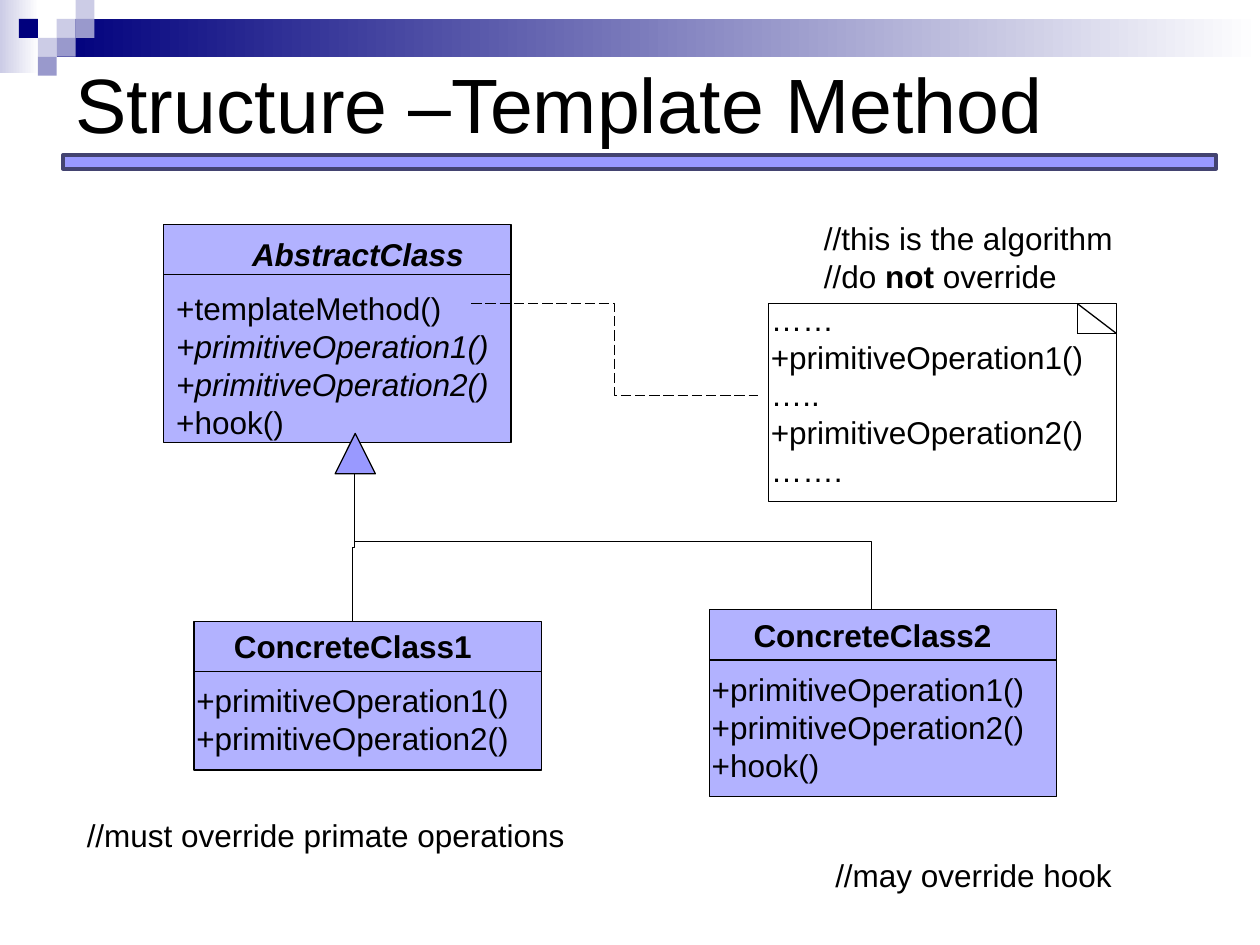
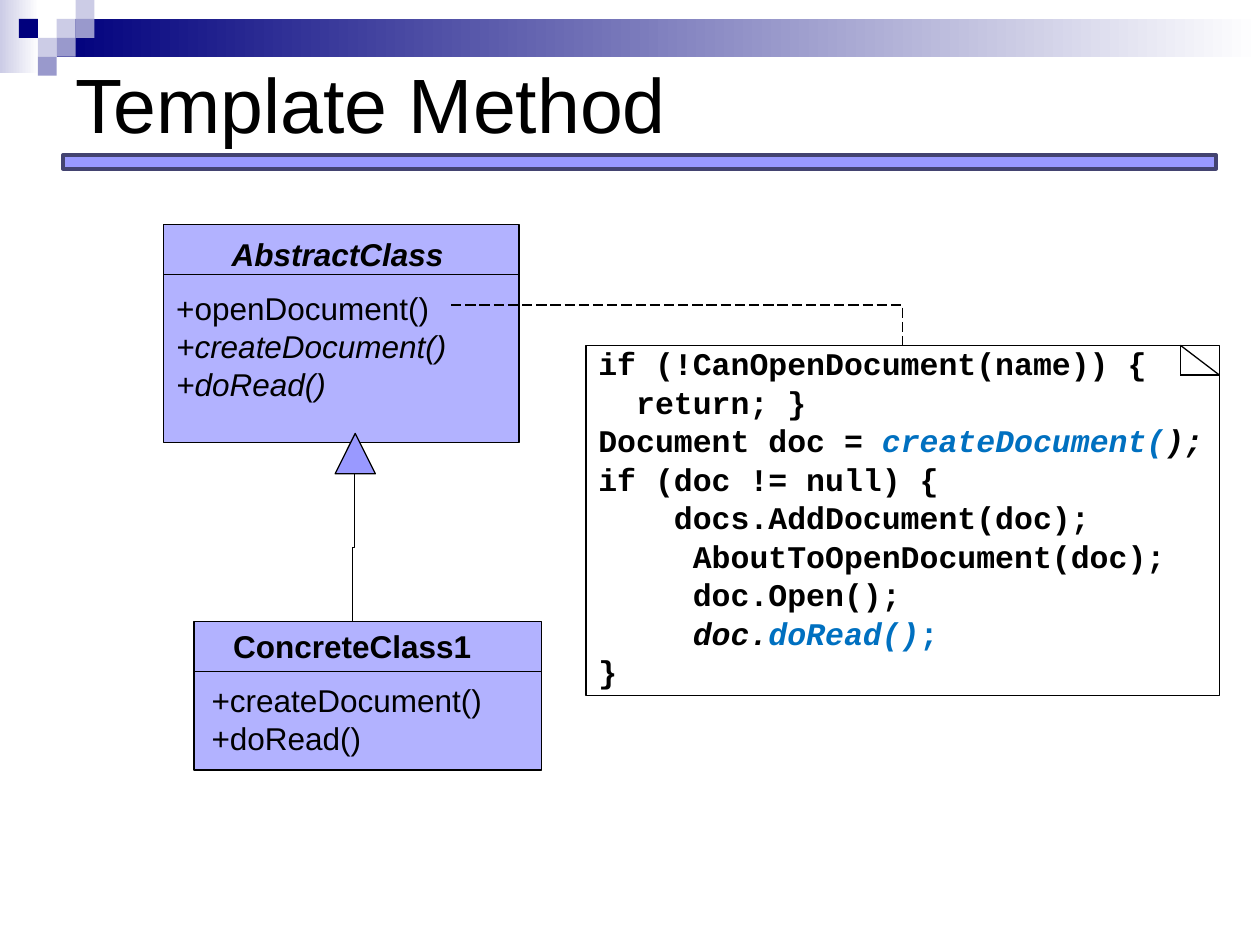
import pptx
import pptx.dml.color
import pptx.enum.dml
import pptx.enum.shapes
import pptx.enum.text
import pptx.oxml.ns
import pptx.util
from lxml import etree

Pt = pptx.util.Pt
RGBColor = pptx.dml.color.RGBColor
SHAPE = pptx.enum.shapes.MSO_SHAPE
LINK = pptx.enum.shapes.MSO_CONNECTOR
ALIGN = pptx.enum.text.PP_ALIGN
qn = pptx.oxml.ns.qn

BLACK = RGBColor(0x00, 0x00, 0x00)
WHITE = RGBColor(0xFF, 0xFF, 0xFF)
NAVY = RGBColor(0x00, 0x00, 0x7D)
PALE = RGBColor(0xCC, 0xCC, 0xE6)
MID = RGBColor(0x99, 0x99, 0xCC)
VIOLET = RGBColor(0x99, 0x99, 0xFF)
VIOLET_EDGE = RGBColor(0x43, 0x43, 0x70)
CLASS_FILL = RGBColor(0xB2, 0xB2, 0xFF)
CODE_BLUE = RGBColor(0x00, 0x70, 0xC0)

CELL = 10.8
MOSAIC = [(3, 1, PALE), (4, 0, PALE), (4, 1, MID), (2, 2, PALE),
          (1, 1, NAVY), (3, 2, MID), (2, 3, MID)]
HAIRLINE = 0.75
FOLD_W, FOLD_H = 22.3, 17
CODE_CHAR = 10.8


def add_shape(slide, x, y, w, h, fill=None, line=None, width=HAIRLINE,
              kind=SHAPE.RECTANGLE):
    sp = slide.shapes.add_shape(kind, Pt(x), Pt(y), Pt(w), Pt(h))
    sp.shadow.inherit = False
    if fill is None:
        sp.fill.background()
    else:
        sp.fill.solid()
        sp.fill.fore_color.rgb = fill
    if line is None:
        sp.line.fill.background()
    else:
        sp.line.color.rgb = line
        sp.line.width = Pt(width)
    return sp


def add_fade(slide, x, y, w, h, color):
    sp = add_shape(slide, x, y, w, h)
    sp.fill.gradient()
    sp.fill.gradient_angle = 0
    for stop, rgb in zip(sp.fill.gradient_stops, (color, WHITE)):
        stop.color.rgb = rgb


def write(tf, paragraphs, size=18, font="Arial"):
    """Each paragraph is a string or a list of (text, style); b bold, i italic, c code blue."""
    for i, runs in enumerate(paragraphs):
        p = tf.paragraphs[0] if i == 0 else tf.add_paragraph()
        p.alignment = ALIGN.LEFT
        for text, style in [(runs, "")] if isinstance(runs, str) else runs:
            r = p.add_run()
            r.text = text
            r.font.size = Pt(size)
            r.font.name = font
            r.font.bold = "b" in style
            r.font.italic = "i" in style
            r.font.color.rgb = CODE_BLUE if "c" in style else BLACK


def add_text(slide, x, y, w, h, paragraphs, size=18, wrap=False):
    tf = slide.shapes.add_textbox(Pt(x), Pt(y), Pt(w), Pt(h)).text_frame
    tf.word_wrap = wrap
    write(tf, paragraphs, size)
    return tf


def add_line(slide, x1, y1, x2, y2, kind=LINK.STRAIGHT, dashed=False):
    cx = slide.shapes.add_connector(kind, Pt(x1), Pt(y1), Pt(x2), Pt(y2))
    cx.line.color.rgb = BLACK
    cx.line.width = Pt(HAIRLINE)
    if dashed:
        cx.line.dash_style = pptx.enum.dml.MSO_LINE.LONG_DASH
    etree.SubElement(cx._element.spPr, qn("a:effectLst"))
    return cx


def add_drop_elbow(slide, x1, y1, x2, y2):
    mid_x, mid_y = (x1 + x2) / 2, (y1 + y2) / 2
    half_run, half_shift = (y2 - y1) / 2, (x2 - x1) / 2
    cx = add_line(slide, mid_x - half_run, mid_y + half_shift,
                  mid_x + half_run, mid_y - half_shift, LINK.ELBOW)
    cx._element.spPr.find(qn("a:xfrm")).set("rot", "5400000")


def add_class(slide, box, text_box, name, operations, wrap=False):
    x, y, w, h = box
    add_shape(slide, x, y, w, h, CLASS_FILL, BLACK)
    tf = add_text(slide, *text_box, [name] + operations, wrap=wrap)
    tf.paragraphs[0].alignment = ALIGN.CENTER
    tf.paragraphs[1].space_before = Pt(9.2)
    add_line(slide, x, y + 28.6, x + w, y + 28.6)


def add_abstract_class(slide, w, text_w, operations):
    add_class(slide, (93.6, 128.2, w, 124.6), (93.6, 131, text_w, 124.6),
              [("AbstractClass", "bi")], operations, wrap=True)


def add_concrete_class_1(slide, text_x, text_w, operations):
    add_class(slide, (110.9, 355, 198.5, 85), (text_x, 355, text_w, 82),
              [("ConcreteClass1", "b")], operations)


def add_inheritance(slide):
    add_shape(slide, 191.5, 247.7, 23, 23, VIOLET, BLACK,
              kind=SHAPE.ISOSCELES_TRIANGLE)
    add_drop_elbow(slide, 202.6, 270.5, 201.5, 355)


def add_note(slide, x, y, w, h):
    note = add_shape(slide, x, y, w, h, line=BLACK)
    right, left, bottom = x + w, x + w - FOLD_W, y + FOLD_H
    add_line(slide, left, y, right, bottom)
    add_line(slide, left, y, left, bottom)
    add_line(slide, left, bottom, right, bottom)
    return note


def add_base(prs, title):
    slide = prs.slides.add_slide(prs.slide_layouts[6])
    add_fade(slide, 0, 0, 22.3, 41.8, PALE)
    add_fade(slide, 3 * CELL, CELL, 720 - 3 * CELL, 2 * CELL, NAVY)
    for col, row, color in MOSAIC:
        add_shape(slide, col * CELL, row * CELL, CELL, CELL, color)
    add_shape(slide, 36, 88.5, 659, 8, VIOLET, VIOLET_EDGE, 2)
    tf = add_text(slide, 36, 5, 648, 108, [title], size=44, wrap=True)
    tf.vertical_anchor = pptx.enum.text.MSO_ANCHOR.MIDDLE
    return slide


def build_structure(prs):
    slide = add_base(prs, "Structure –Template Method")
    primitives = ["+primitiveOperation1()", "+primitiveOperation2()"]
    add_abstract_class(slide, 198.5, 221.8, [
        "+templateMethod()", *[[(name, "i")] for name in primitives], "+hook()"])
    add_concrete_class_1(slide, 105.1, 193, primitives)
    add_note(slide, 439.2, 173.5, 198.7, 113)
    add_text(slide, 433.4, 167.8, 193, 115,
             ["……", primitives[0], "…..", primitives[1], "……."])
    add_inheritance(slide)
    add_line(slide, 269.3, 173.5, 433.4, 225.8, LINK.ELBOW, dashed=True)
    add_class(slide, (405.4, 348.5, 198.5, 106.8), (399.6, 348.5, 198, 104.4),
              [("ConcreteClass2", "b")], primitives + ["+hook()"])
    add_drop_elbow(slide, 202.6, 270.5, 498.2, 348.5)
    add_text(slide, 463.7, 121.7, 181.4, 51, [
        "//this is the algorithm",
        [("//do ", ""), ("not", "b"), (" override", "")]])
    add_text(slide, 42.5, 463, 290, 29, ["//must override primate operations"])
    add_text(slide, 470.2, 485.5, 174.2, 29, ["//may override hook"])


def build_example(prs):
    slide = add_base(prs, "Template Method")
    overridden = ["+createDocument()", "+doRead()"]
    add_abstract_class(slide, 203, 198.7, [
        "+openDocument()", *[[(name, "i")] for name in overridden]])
    add_concrete_class_1(slide, 113.8, 175, overridden)
    code = [
        (0, [("if (!CanOpenDocument(name)) {", "b")]),
        (2, [("return; }", "b")]),
        (0, [("Document doc = ", "b"), ("createDocument(", "bic"), (");", "bi")]),
        (0, [("if (doc != null) {", "b")]),
        (4, [("docs.AddDocument(doc);", "b")]),
        (5, [("AboutToOpenDocument(doc);", "b")]),
        (5, [("doc.Open();", "b")]),
        (5, [("doc.", "bi"), ("doRead()", "bic"), (";", "bc")]),
        (0, [("}", "b")]),
    ]
    note = add_note(slide, 334.8, 197.3, 362, 200)
    tf = note.text_frame
    tf.word_wrap = False
    tf.vertical_anchor = pptx.enum.text.MSO_ANCHOR.TOP
    write(tf, [runs for _, runs in code], font="Courier New")
    for p, (indent, _) in zip(tf.paragraphs, code):
        p.line_spacing = 0.8
        p.space_before = Pt(4.7)
        pPr = p._p.get_or_add_pPr()
        pPr.set("marL", str(Pt(indent * CODE_CHAR)))
        pPr.set("indent", "0")
    add_inheritance(slide)
    cx = add_line(slide, 257.8, 174.4, 515.8, 197.3, LINK.ELBOW, dashed=True)
    cx._element.spPr.find(qn("a:prstGeom")).set("prst", "bentConnector2")
    cx.end_connect(note, 0)


def main():
    prs = pptx.Presentation()
    prs.slide_width, prs.slide_height = Pt(720), Pt(540)
    build_structure(prs)
    build_example(prs)
    prs.save("out.pptx")


if __name__ == "__main__":
    main()
